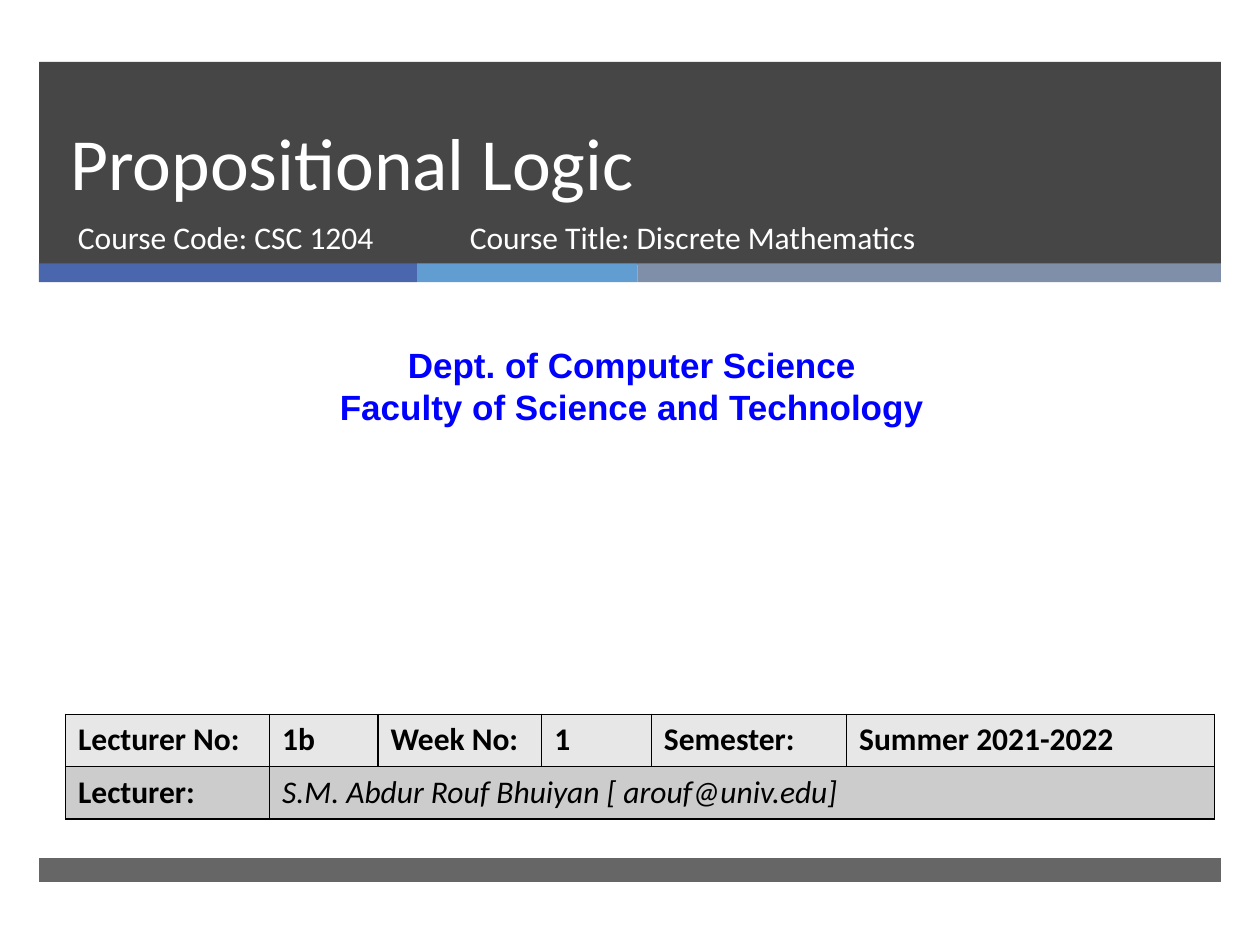
"""Build the title slide of a lecture on propositional logic."""
from pptx import Presentation
from pptx.dml.color import RGBColor
from pptx.enum.shapes import MSO_SHAPE
from pptx.enum.text import MSO_ANCHOR, PP_ALIGN
from pptx.oxml.ns import qn
from pptx.util import Inches, Pt
from lxml.etree import SubElement

DARK = RGBColor(0x26, 0x26, 0x26)
INDIGO = RGBColor(0x4A, 0x66, 0xAC)
SKY = RGBColor(0x62, 0x9D, 0xD1)
SLATE = RGBColor(0x7F, 0x8F, 0xA9)
WHITE = RGBColor(0xFF, 0xFF, 0xFF)
BLACK = RGBColor(0, 0, 0)
BLUE = RGBColor(0, 0, 0xFF)
LIGHT = RGBColor(0xE7, 0xE7, 0xE7)
GREY = RGBColor(0xCC, 0xCC, 0xCC)

LEFT = 0.31
BARS = [(0.49, 1.61, 85), (6.81, 0.19, 70)]
STRIPES = [(3, INDIGO), (1.75, SKY), (4.63, SLATE)]
LABELS = [
    ((0.46, 0.49, 8.54, 1.19), ["Propositional Logic"],
     dict(size=42, anchor=MSO_ANCHOR.BOTTOM, space=Pt(46))),
    ((0.52, 1.68, 3.05, 0.53), ["Course Code: CSC 1204"], {}),
    ((3.63, 1.68, 4.55, 0.53), ["Course Title: Discrete Mathematics"], {}),
    ((0.08, 2.68, 9.87, 0.77),
     ["Dept. of Computer Science", "Faculty of Science and Technology"],
     dict(size=20, font="Arial", color=BLUE, bold=True, align=PP_ALIGN.CENTER)),
]
COLS = [1.62, 0.86, 1.3, 0.87, 1.55, 2.92]
ROWS = [
    (LIGHT, ["Lecturer No:", "1b", "Week No:", "1", "Semester:", "Summer 2021-2022"]),
    (GREY, ["Lecturer:", "S.M. Abdur Rouf Bhuiyan [ arouf@univ.edu]"]),
]


def write(frame, lines, size=18, font="Calibri", color=WHITE, bold=False,
          italic=False, align=PP_ALIGN.LEFT, anchor=MSO_ANCHOR.TOP, space=None):
    frame.word_wrap = True
    frame.vertical_anchor = anchor
    for i, line in enumerate(lines):
        para = frame.add_paragraph() if i else frame.paragraphs[0]
        para.alignment = align
        para.line_spacing = space
        run = para.add_run()
        run.text = line
        face = run.font
        face.name, face.size, face.color.rgb = font, Pt(size), color
        face.bold, face.italic = bold, italic


def block(box, color, alpha=100):
    shape = slide.shapes.add_shape(MSO_SHAPE.RECTANGLE, *map(Inches, box))
    shape.shadow.inherit = False
    shape.fill.solid()
    shape.fill.fore_color.rgb = color
    shape.line.fill.background()
    if alpha < 100:
        tint = shape.fill._xPr.find(".//" + qn("a:srgbClr"))
        SubElement(tint, qn("a:alpha"), val=str(alpha * 1000))


def border(cell):
    props = cell._tc.get_or_add_tcPr()
    for i, side in enumerate(("lnL", "lnR", "lnT", "lnB")):
        line = props.makeelement(qn("a:" + side), {"w": str(Pt(1))})
        fill = SubElement(line, qn("a:solidFill"))
        SubElement(fill, qn("a:srgbClr"), val=str(BLACK))
        props.insert(i, line)


deck = Presentation()
deck.slide_width, deck.slide_height = Inches(10), Inches(7.5)
slide = deck.slides.add_slide(deck.slide_layouts[6])

for top, high, alpha in BARS:
    block((LEFT, top, 9.38, high), DARK, alpha)
left = LEFT
for wide, color in STRIPES:
    block((left, 2.09, wide, 0.15), color)
    left += wide

for box, lines, style in LABELS:
    write(slide.shapes.add_textbox(*map(Inches, box)).text_frame, lines, **style)

table = slide.shapes.add_table(len(ROWS), len(COLS), Inches(0.52), Inches(5.67),
                               Inches(sum(COLS)), Inches(0.83)).table
for col, wide in zip(table.columns, COLS):
    col.width = Inches(wide)
table.cell(1, 1).merge(table.cell(1, len(COLS) - 1))
for r, (shade, texts) in enumerate(ROWS):
    for c in range(len(COLS)):
        cell = table.cell(r, c)
        cell.fill.solid()
        cell.fill.fore_color.rgb = shade
        border(cell)
        if c < len(texts):
            name = cell.is_merge_origin
            write(cell.text_frame, [texts[c]], color=BLACK, bold=not name, italic=name)

deck.save("out.pptx")
